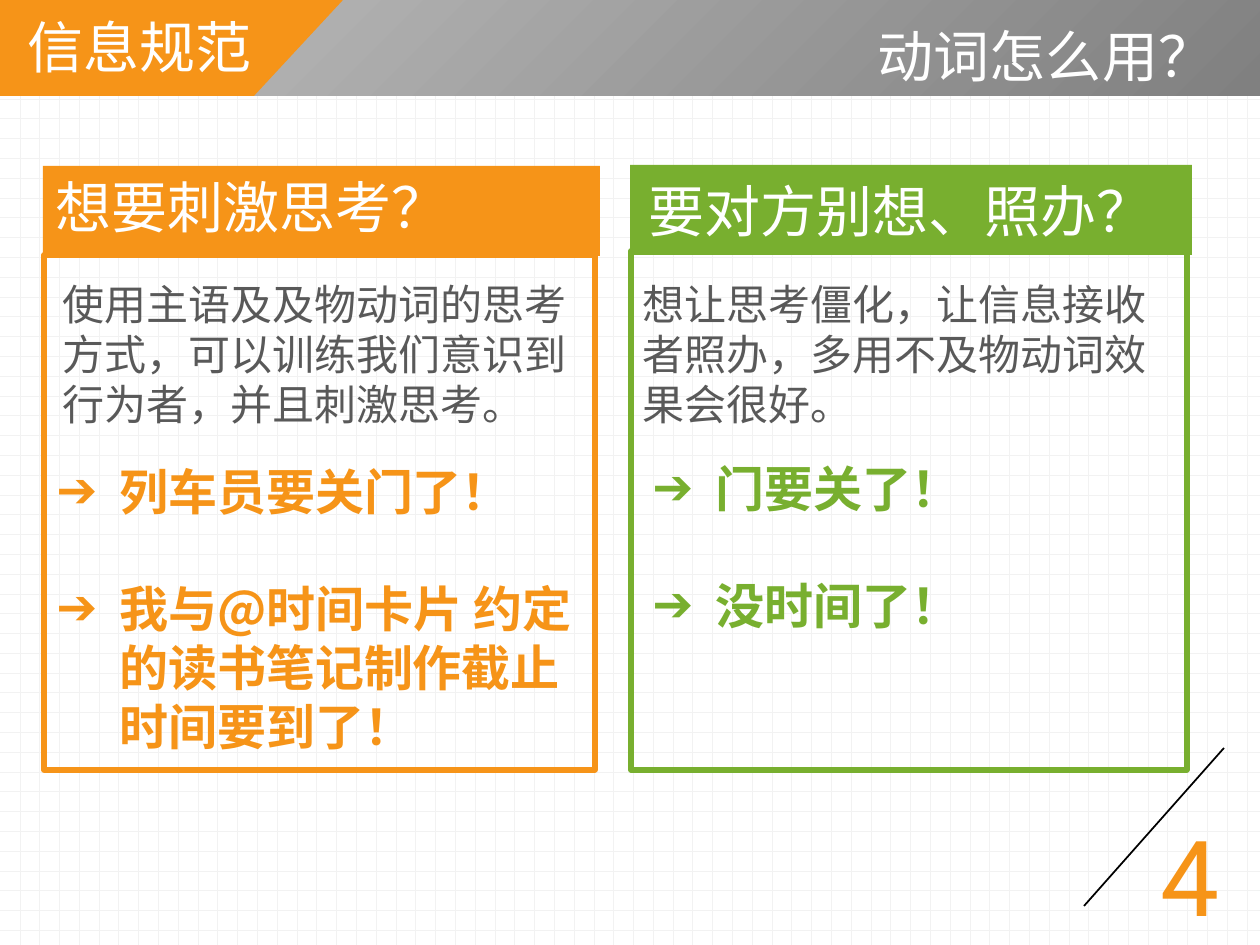
from lxml import etree
from pptx import Presentation, util as u
from pptx.dml.color import RGBColor
from pptx.enum import dml, shapes, text
from pptx.oxml.ns import qn

SCALE = u.Inches(1) / 126
ORANGE, GREEN, WHITE, GREY = "F69418", "78AF2F", "FFFFFF", "595959"
SANS_SC, SANS_JP = "Noto Sans CJK SC", "Noto Sans CJK JP"


def px(length):
    """Turn pixels into EMU."""
    return u.Emu(round(length * SCALE))


def colour(value):
    """Turn a hex string into a colour."""
    return RGBColor.from_string(value)


def add_bullet(paragraph):
    """Give a paragraph an arrow bullet with a hanging indent."""
    properties = paragraph._p.get_or_add_pPr()
    properties.set("marL", str(u.Inches(0.5)))
    properties.set("indent", str(-u.Inches(0.5)))
    etree.SubElement(properties, qn("a:buFont"), typeface="Arial")
    etree.SubElement(properties, qn("a:buChar"), char="➔")


def format_paragraph(paragraph, size, font, fill, bold=False):
    """Set the font of a paragraph for Latin and East Asian text."""
    paragraph.font.size = u.Pt(size)
    paragraph.font.bold = bold
    paragraph.font.name = font
    paragraph.font.color.rgb = colour(fill)
    properties = paragraph._p.pPr.find(qn("a:defRPr"))
    etree.SubElement(properties, qn("a:ea"), typeface=font)


def add_text(slide, box, wording, size, font, fill, wrap=True):
    """Add a text box with one paragraph."""
    shape = slide.shapes.add_textbox(*map(px, box))
    shape.text_frame.word_wrap = wrap
    paragraph = shape.text_frame.paragraphs[0]
    paragraph.text = wording
    format_paragraph(paragraph, size, font, fill)


def add_list(slide, box, items, fill):
    """Add a bold arrow list with one line of space between items."""
    frame = slide.shapes.add_textbox(*map(px, box)).text_frame
    frame.word_wrap = True
    for index, item in enumerate(items):
        paragraph = frame.add_paragraph() if index else frame.paragraphs[0]
        paragraph.text = item
        add_bullet(paragraph)
        if index:
            paragraph.space_before = u.Pt(33.5)
        format_paragraph(paragraph, 28, SANS_SC, fill, bold=True)


def add_rectangle(slide, box, fill=None, line=None):
    """Add a rectangle that is filled, outlined or both."""
    shape = slide.shapes.add_shape(shapes.MSO_SHAPE.RECTANGLE, *map(px, box))
    shape.shadow.inherit = False
    if fill:
        shape.fill.solid()
        shape.fill.fore_color.rgb = colour(fill)
    else:
        shape.fill.background()
    if line:
        shape.line.color.rgb = colour(line)
        shape.line.width = u.Pt(3)
    else:
        shape.line.fill.background()
    return shape


def add_band(slide):
    """Add the grey gradient band with its slanted orange tab."""
    band = add_rectangle(slide, (0, 0, 1260, 96), "808080")
    band.fill.gradient()
    for stop, position, value in zip(band.fill.gradient_stops, (0, 1), ("808080", "BFBFBF")):
        stop.position = position
        stop.color.rgb = colour(value)
    gradient = band._element.spPr.find(qn("a:gradFill"))
    gradient.remove(gradient.find(qn("a:lin")))
    radial = etree.SubElement(gradient, qn("a:path"), path="circle")
    etree.SubElement(radial, qn("a:fillToRect"), l="100000", t="100000")

    builder = slide.shapes.build_freeform(0, 0, scale=SCALE)
    builder.add_line_segments([(343, 0), (254, 96), (0, 96)], close=True)
    tab = builder.convert_to_shape()
    tab.shadow.inherit = False
    tab.fill.solid()
    tab.fill.fore_color.rgb = colour(ORANGE)
    tab.line.fill.background()


def place_title(slide, box, wording):
    """Move the title placeholder onto the band and format it."""
    title = slide.shapes.title
    slide.shapes._spTree.append(title._element)
    title.left, title.top, title.width, title.height = map(px, box)
    frame = title.text_frame
    frame.text = wording
    frame.word_wrap = True
    frame.auto_size = text.MSO_AUTO_SIZE.NONE
    frame.vertical_anchor = text.MSO_ANCHOR.TOP
    frame.paragraphs[0].alignment = text.PP_ALIGN.RIGHT
    format_paragraph(frame.paragraphs[0], 32, SANS_SC, WHITE)


def add_diagonal(slide, start, end):
    """Add the thin line beside the page number."""
    line = slide.shapes.add_connector(
        shapes.MSO_CONNECTOR.STRAIGHT, *map(px, start + end))
    line.line.color.rgb = colour("000000")
    line.line.width = u.Pt(1)
    etree.SubElement(line._element.spPr, qn("a:effectLst"))


def main():
    """Build the slide and save it."""
    presentation = Presentation()
    presentation.slide_width, presentation.slide_height = px(1260), px(945)
    slide = presentation.slides.add_slide(presentation.slide_layouts[5])
    background = slide.background.fill
    background.patterned()
    background.pattern = dml.MSO_PATTERN.DOTTED_GRID
    background.fore_color.rgb = colour("F2F2F2")
    background.back_color.rgb = colour(WHITE)

    add_diagonal(slide, (1224, 748), (1084, 906))
    add_band(slide)
    place_title(slide, (581, 15, 646, 81), "动词怎么用？")
    add_text(slide, (15, 6, 456, 81), "信息规范", 32, SANS_JP, WHITE)
    add_text(slide, (1148, 805, 88, 140), "4", 60, "Roboto", ORANGE)

    add_rectangle(slide, (43, 166, 557, 90), ORANGE)
    add_text(slide, (43, 166, 418, 81), "想要刺激思考？", 32, SANS_JP, WHITE, wrap=False)
    add_rectangle(slide, (44, 255, 551, 515), line=ORANGE)
    add_text(slide, (50, 272, 541, 165),
             "使用主语及及物动词的思考方式，可以训练我们意识到行为者，并且刺激思考。",
             24, SANS_SC, GREY)
    add_list(slide, (44, 455, 559, 310),
             ["列车员要关门了！", "我与@时间卡片 约定的读书笔记制作截止时间要到了！"], ORANGE)

    add_rectangle(slide, (630, 165, 562, 90), GREEN)
    add_text(slide, (636, 170, 534, 81), "要对方别想、照办？", 32, SANS_JP, WHITE, wrap=False)
    add_rectangle(slide, (631, 251, 556, 519), line=GREEN)
    add_text(slide, (630, 272, 541, 165),
             "想让思考僵化，让信息接收者照办，多用不及物动词效果会很好。",
             24, SANS_SC, GREY)
    add_list(slide, (640, 452, 620, 190), ["门要关了！", "没时间了！"], GREEN)
    presentation.save("out.pptx")


if __name__ == "__main__":
    main()
